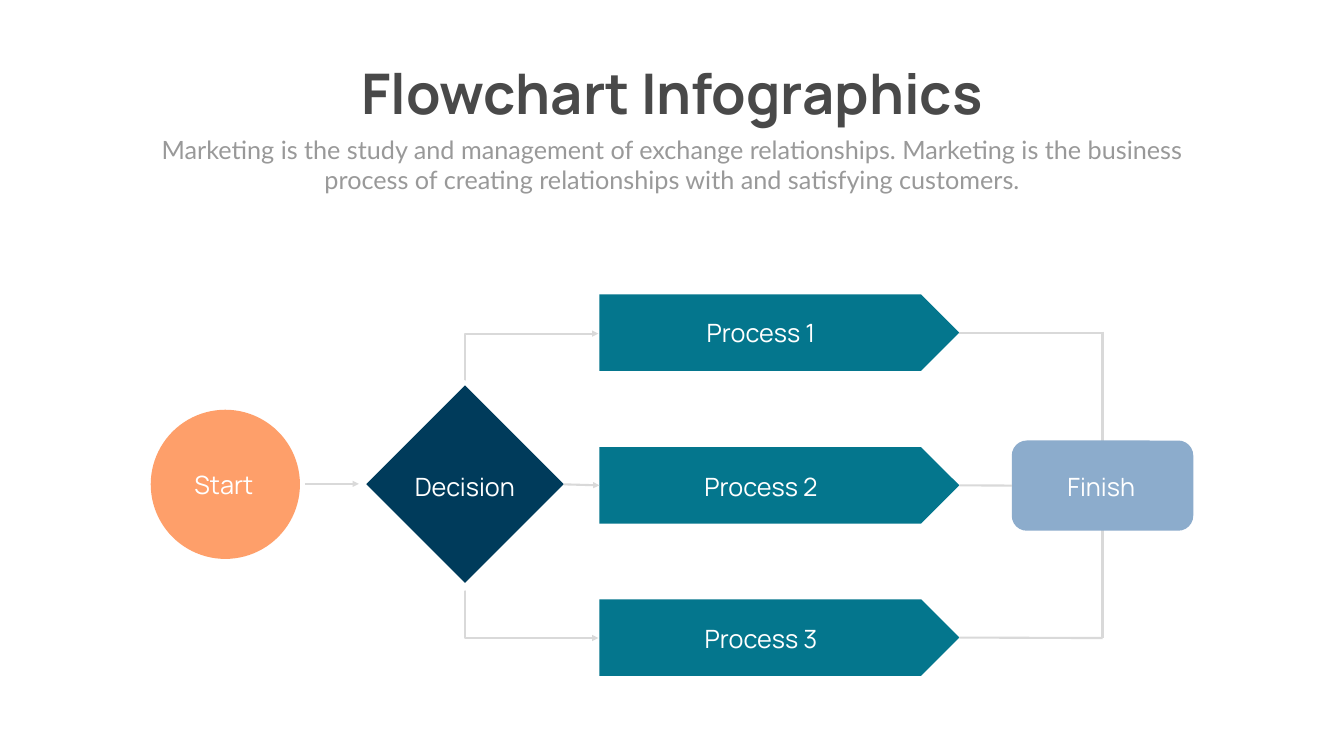
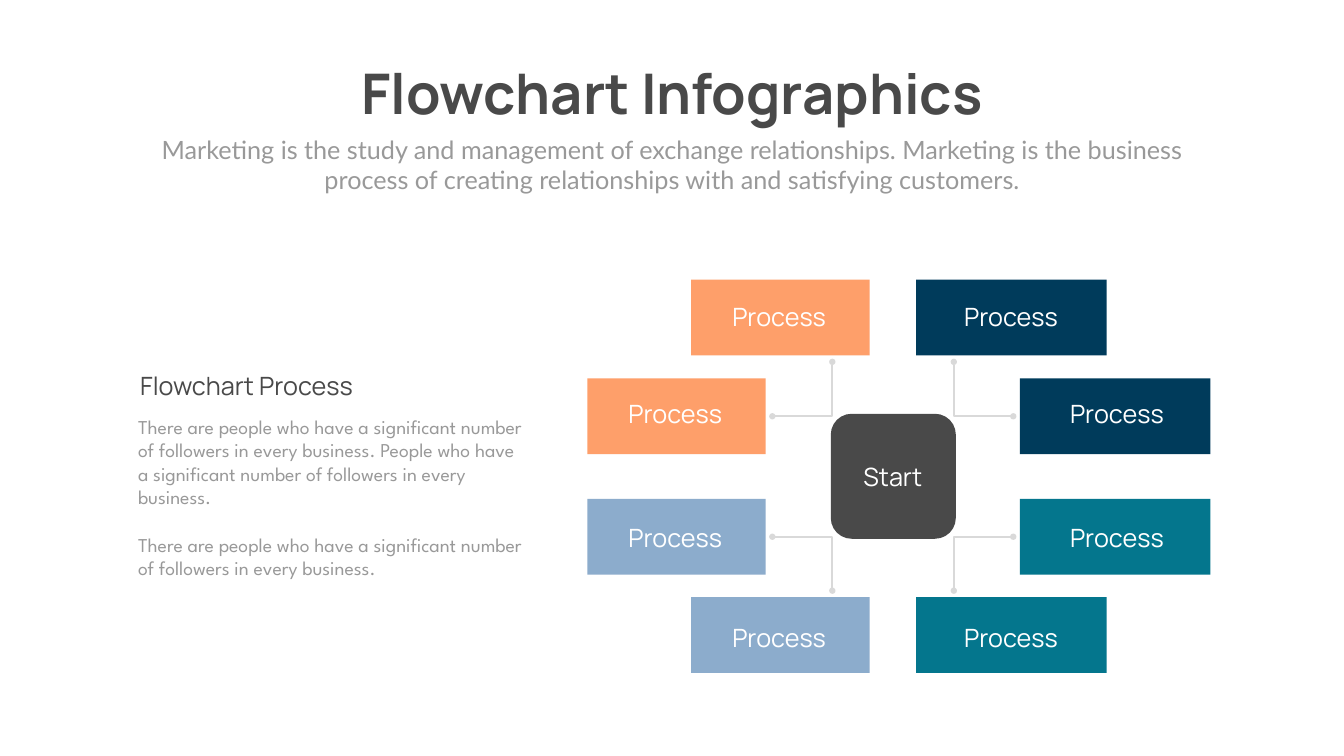
from itertools import product

from lxml import etree
from pptx import Presentation
from pptx.dml.color import RGBColor
from pptx.enum.shapes import MSO_CONNECTOR, MSO_SHAPE
from pptx.enum.text import MSO_ANCHOR, MSO_AUTO_SIZE, PP_ALIGN
from pptx.oxml.ns import qn
from pptx.util import Inches, Pt

WHITE = RGBColor(0xFF, 0xFF, 0xFF)
DARK = RGBColor(0x49, 0x49, 0x49)
GREY = RGBColor(0x99, 0x99, 0x99)
LINE = RGBColor(0xD9, 0xD9, 0xD9)
ORANGE = RGBColor(0xFE, 0x9F, 0x6A)
NAVY = RGBColor(0x00, 0x3B, 0x5B)
BLUE = RGBColor(0x8C, 0xAC, 0xCC)
TEAL = RGBColor(0x04, 0x76, 0x8D)

CENTER, LEFT = PP_ALIGN.CENTER, PP_ALIGN.LEFT
TOP, MIDDLE = MSO_ANCHOR.TOP, MSO_ANCHOR.MIDDLE
GROW = MSO_AUTO_SIZE.SHAPE_TO_FIT_TEXT
STRAIGHT, ELBOW = MSO_CONNECTOR.STRAIGHT, MSO_CONNECTOR.ELBOW
RECTANGLE, ROUNDED = MSO_SHAPE.RECTANGLE, MSO_SHAPE.ROUNDED_RECTANGLE
OVAL, PENTAGON = MSO_SHAPE.OVAL, MSO_SHAPE.PENTAGON
LEFT_SIDE, RIGHT_SIDE = 1, 3

TITLE_FONT = {"name": "Manrope", "size": Pt(80), "bold": True}
SUBTITLE_FONT = {"name": "Lato", "size": Pt(36)}
LABEL_FONT = {"name": "Manrope", "size": Pt(36)}
BODY_FONT = {"name": "League Spartan", "size": Pt(28)}
MARGINS = ("margin_left", "margin_top", "margin_right", "margin_bottom")

TITLE = "Flowchart Infographics"
SUBTITLE = (
    "Marketing is the study and management of exchange relationships. "
    "Marketing is the business process of creating relationships with "
    "and satisfying customers."
)
BODY = (
    "There are people who have a significant number of followers in every business. "
    "People who have a significant number of followers in every business.",
    "There are people who have a significant number of followers in every business.",
)


def add_text(slide, box, paragraphs, font, color, align=CENTER, wrap=True, gap=0):
    """Add a text box with one format for all its paragraphs."""
    shape = slide.shapes.add_textbox(*map(Inches, box))
    frame = shape.text_frame
    frame.word_wrap = wrap
    frame.auto_size = GROW
    for index, text in enumerate(paragraphs):
        paragraph = frame.add_paragraph() if index else frame.paragraphs[0]
        paragraph.text = text
        paragraph.alignment = align
        if index:
            paragraph.space_before = Pt(gap)
        for name, value in font.items():
            setattr(paragraph.font, name, value)
        paragraph.font.color.rgb = color
    return frame


def add_label(slide, left, top, width, text, color=WHITE, align=CENTER, anchor=TOP):
    """Add a one-line label without insets."""
    frame = add_text(slide, (left, top, width, 0.61), [text], LABEL_FONT, color, align)
    frame.vertical_anchor = anchor
    for margin in MARGINS:
        setattr(frame, margin, 0)


def add_block(slide, kind, box, color):
    """Add a flat filled shape without an outline."""
    shape = slide.shapes.add_shape(kind, *map(Inches, box))
    shape.shadow.inherit = False
    shape.fill.solid()
    shape.fill.fore_color.rgb = color
    shape.line.fill.background()
    return shape


def add_line(slide, start, end, kind=STRAIGHT, head=None, tail=None):
    """Add a grey connector with optional line ends."""
    connector = slide.shapes.add_connector(kind, *map(Inches, (*start, *end)))
    connector.line.color.rgb = LINE
    connector.line.width = Pt(3)
    outline = connector.line._get_or_add_ln()
    for tag, style in (("a:headEnd", head), ("a:tailEnd", tail)):
        if style:
            etree.SubElement(outline, qn(tag), type=style)
    etree.SubElement(connector._element.spPr, qn("a:effectLst"))
    return connector


def add_elbow(slide, start, end, preset, adjust=None, **ends):
    """Add a bent connector of the given preset geometry."""
    connector = add_line(slide, start, end, ELBOW, **ends)
    geometry = connector._element.spPr.find(qn("a:prstGeom"))
    geometry.set("prst", preset)
    if adjust is not None:
        guides = geometry.find(qn("a:avLst"))
        etree.SubElement(guides, qn("a:gd"), name="adj1", fmla=f"val {adjust}")


def add_slide(presentation):
    """Add a blank slide with the shared title and subtitle."""
    slide = presentation.slides.add_slide(presentation.slide_layouts[6])
    add_text(slide, (6.55, 1.12, 13.57, 1.45), [TITLE], TITLE_FONT, DARK, wrap=False)
    add_text(slide, (2.92, 2.61, 20.82, 1.31), [SUBTITLE], SUBTITLE_FONT, GREY)
    return slide


def build_decision_slide(presentation):
    """Build the flow from start through a decision to three processes."""
    slide = add_slide(presentation)
    finish_x, decision_x, process_x = 21.87, 9.22, 11.87
    add_line(slide, (finish_x, 6.58), (finish_x, 12.65))
    add_block(slide, OVAL, (2.99, 8.13, 2.96, 2.96), ORANGE)
    decision = add_block(slide, RECTANGLE, (7.84, 8.22, 2.77, 2.77), NAVY)
    decision.rotation = 315
    finish = add_block(slide, ROUNDED, (20.07, 8.74, 3.6, 1.79), BLUE)
    processes = [
        add_block(slide, PENTAGON, (11.89, top, 7.14, 1.52), TEAL)
        for top in (5.84, 8.87, 11.89)
    ]

    add_line(slide, (6.05, 9.6), (7.12, 9.6), tail="triangle")
    choice = add_line(slide, (11.18, 9.61), (process_x, 9.61), tail="triangle")
    choice.end_connect(processes[1], LEFT_SIDE)
    for start_y, end_y in ((7.54, 6.62), (11.73, 12.66)):
        add_elbow(slide, (decision_x, start_y), (process_x, end_y),
                  "bentConnector3", adjust=100, tail="triangle")
    for process, end_y in zip(processes, (6.6, 9.63, 12.66)):
        exit_line = add_line(slide, (19.03, end_y), (finish_x, end_y))
        exit_line.begin_connect(process, RIGHT_SIDE)
        if process is processes[1]:
            exit_line.end_connect(finish, LEFT_SIDE)

    add_label(slide, 3.72, 9.32, 1.44, "Start")
    add_label(slide, 7.83, 9.35, 2.78, "Decision")
    add_label(slide, 20.88, 9.35, 1.93, "Finish", anchor=MIDDLE)
    for number, top in enumerate((6.29, 9.35, 12.36), start=1):
        add_label(slide, 13.59, top, 3.01, f"Process {number}")


def build_hub_slide(presentation):
    """Build the hub with a pair of processes at each corner."""
    slide = add_slide(presentation)
    add_block(slide, ROUNDED, (16.48, 8.21, 2.48, 2.48), DARK)
    add_label(slide, 16.99, 9.16, 1.44, "Start")

    sides = (
        {"width": 3.54, "inner": (13.71, 14.28), "outer": (11.65, 12.22),
         "start": 15.32, "bend": 16.51},
        {"width": 3.78, "inner": (18.17, 18.88), "outer": (20.23, 20.98),
         "start": 20.1, "bend": 18.92},
    )
    rows = (
        {"inner": (5.55, 5.97), "outer": (7.51, 7.91), "start": 8.26, "end": 7.18},
        {"inner": (11.85, 12.34), "outer": (9.9, 10.37), "start": 10.65, "end": 11.72},
    )
    colors = (ORANGE, NAVY, BLUE, TEAL)
    for (row, side), color in zip(product(rows, sides), colors):
        for place in ("outer", "inner"):
            (left, label_left), (top, label_top) = side[place], row[place]
            add_block(slide, RECTANGLE, (left, top, side["width"], 1.5), color)
            add_label(slide, label_left, label_top, 2.35, "Process")
        add_elbow(slide, (side["start"], row["start"]), (side["bend"], row["end"]),
                  "bentConnector2", head="oval", tail="oval")

    add_text(slide, (2.64, 8.18, 7.86, 3.4), BODY, BODY_FONT, GREY, LEFT, gap=34)
    add_label(slide, 2.78, 7.35, 5.01, "Flowchart Process", DARK, LEFT)


def main():
    """Build and save the presentation."""
    presentation = Presentation()
    presentation.slide_width = Inches(26.66)
    presentation.slide_height = Inches(15)
    build_decision_slide(presentation)
    build_hub_slide(presentation)
    presentation.save("out.pptx")


if __name__ == "__main__":
    main()
